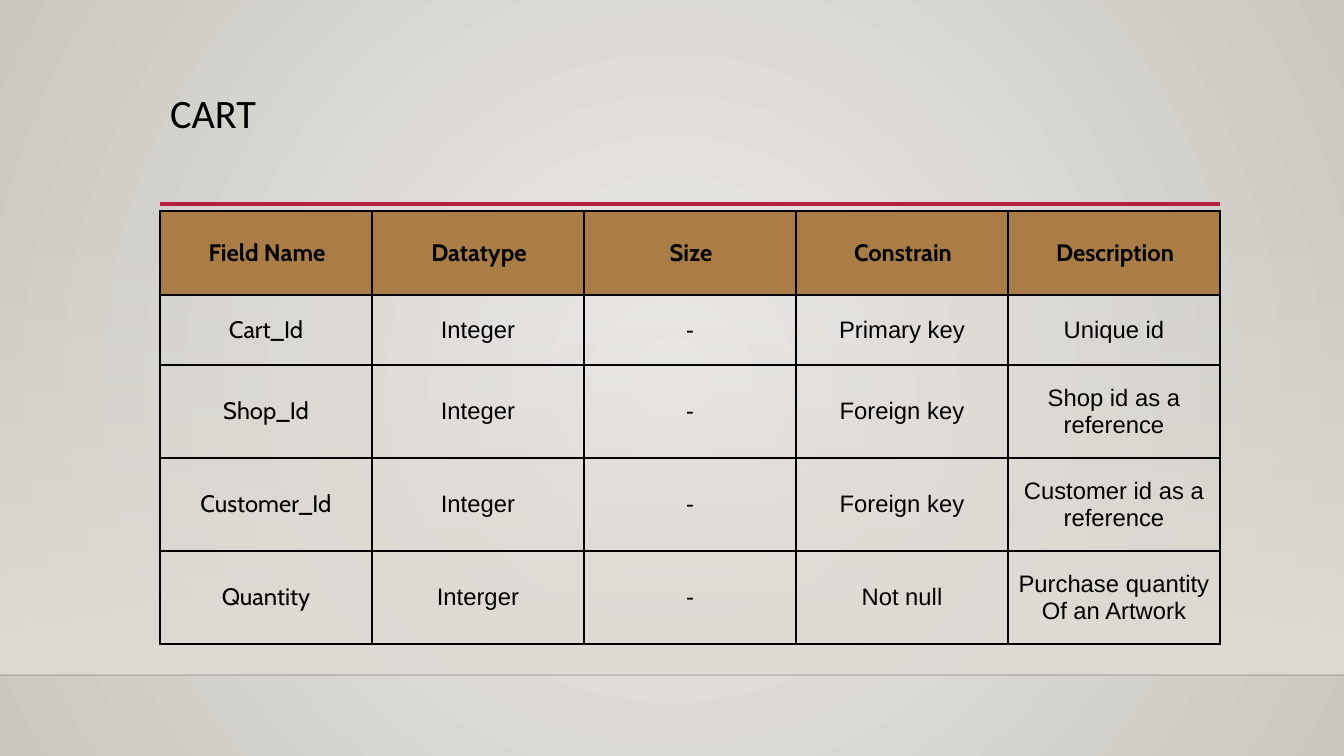
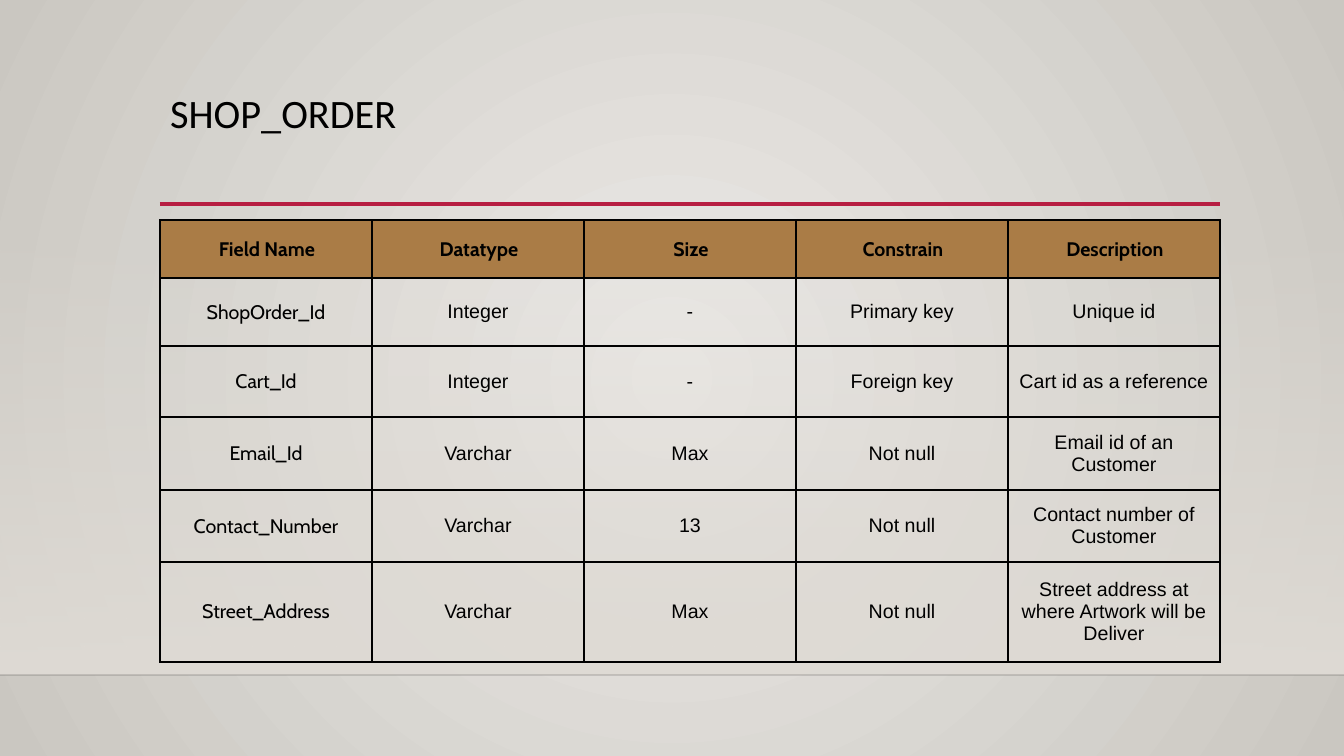
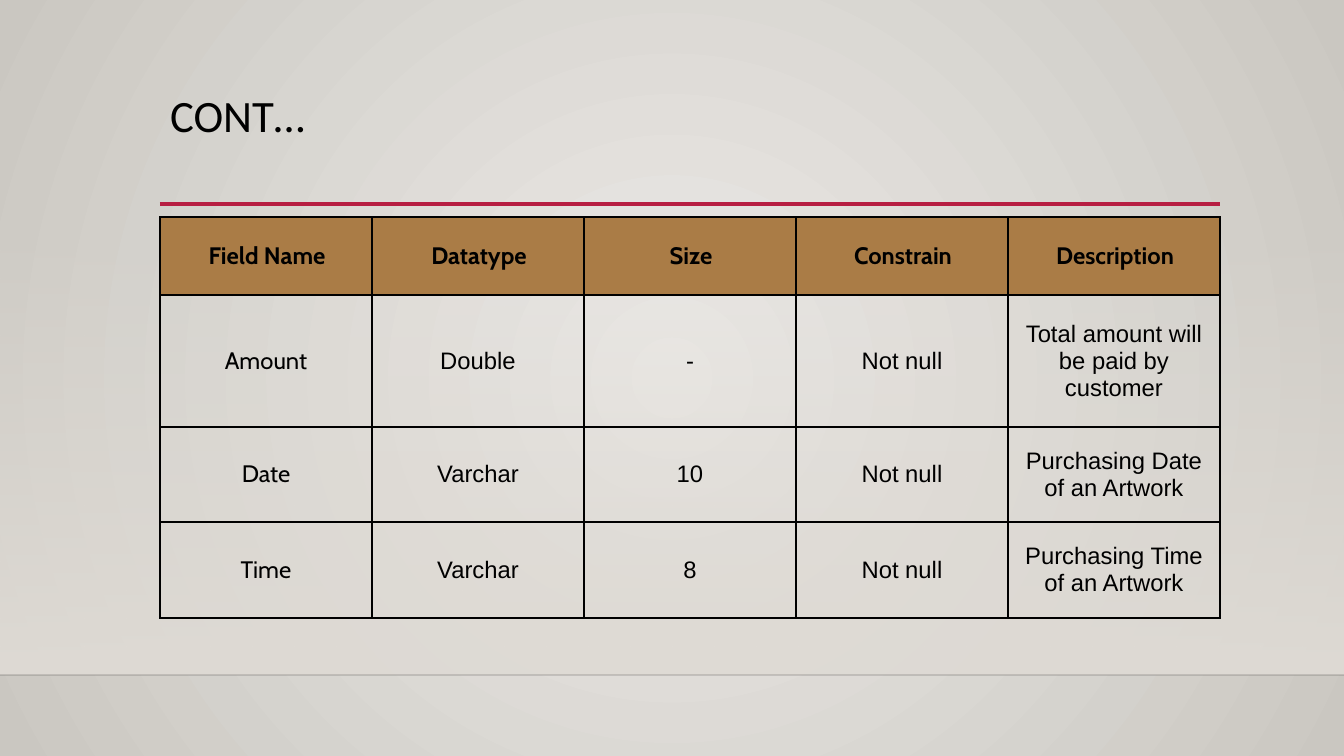
"""Build three slides that list the fields of the shop's database tables."""
from dataclasses import dataclass

from lxml import etree
from pptx import Presentation
from pptx import util as u
from pptx.dml.color import RGBColor
from pptx.enum import shapes, text
from pptx.oxml import parse_xml
from pptx.oxml.ns import nsdecls, qn

PX = 914400 / 100.8
SLIDE_WIDTH, SLIDE_HEIGHT = 1344, 756
LEFT, COLUMN_WIDTH = 160, 212
TITLE_TOP, TITLE_HEIGHT = 89, 115
RULE_Y, BAND_TOP, FLOOR_Y = 204, 223, 675

BLACK = RGBColor(0x00, 0x00, 0x00)
CRIMSON = RGBColor(0xB7, 0x1E, 0x42)
BRONZE = RGBColor(0xAA, 0x7C, 0x46)
PALE = RGBColor(0xEC, 0xEA, 0xE7)
STONE = RGBColor(0xCA, 0xC7, 0xC1)
SAND = RGBColor(0xDF, 0xDB, 0xD5)

TITLE_FONT, NAME_FONT, BODY_FONT = "Calibri", "Cabin", "Arial"
HEADERS = ("Field Name", "Datatype", "Size", "Constrain", "Description")
RADIAL = '<a:path path="circle"><a:fillToRect l="50000" t="50000" r="50000" b="50000"/></a:path>'
DOWNWARD = '<a:lin ang="5400000" scaled="0"/>'


@dataclass(frozen=True)
class FieldTable:
    """One slide: its title, and a table with its row heights."""

    title: str
    title_size: float
    top: int
    text_size: int
    inset: int
    heights: tuple[int, ...]
    fields: tuple[tuple[str, ...], ...]


TABLES = (
    FieldTable("CART", 28.8, 211, 17, 10, (84, 70, 93, 93, 93), (
        ("Cart_Id", "Integer", "-", "Primary key", "Unique id"),
        ("Shop_Id", "Integer", "-", "Foreign key", "Shop id as a reference"),
        ("Customer_Id", "Integer", "-", "Foreign key", "Customer id as a reference"),
        ("Quantity", "Interger", "-", "Not null", "Purchase quantity\nOf an Artwork"),
    )),
    FieldTable("SHOP_ORDER", 28.8, 220, 14, 8, (58, 68, 71, 73, 72, 100), (
        ("ShopOrder_Id", "Integer", "-", "Primary key", "Unique id"),
        ("Cart_Id", "Integer", "-", "Foreign key", "Cart id as a reference"),
        ("Email_Id", "Varchar", "Max", "Not null", "Email id of an Customer"),
        ("Contact_Number", "Varchar", "13", "Not null", "Contact number of Customer"),
        ("Street_Address", "Varchar", "Max", "Not null",
         "Street address at where Artwork will be Deliver"),
    )),
    FieldTable("CONT…", 32, 217, 17, 10, (78, 132, 95, 96), (
        ("Amount", "Double", "-", "Not null", "Total amount will be paid by customer"),
        ("Date", "Varchar", "10", "Not null", "Purchasing Date of an Artwork"),
        ("Time", "Varchar", "8", "Not null", "Purchasing Time of an Artwork"),
    )),
)


def px(length: int) -> u.Emu:
    """Turn pixels into EMU."""
    return u.Emu(round(length * PX))


def set_gradient(owner, fill, start: RGBColor, end: RGBColor, course: str,
                 start_alpha: int = 100) -> None:
    """Fill an object with a two-stop gradient that follows the given course."""
    fill.gradient()
    old = owner.element.xpath(".//a:gradFill")[0]
    old.getparent().replace(old, parse_xml(
        f'<a:gradFill {nsdecls("a")} rotWithShape="1"><a:gsLst>'
        f'<a:gs pos="0"><a:srgbClr val="{start}"><a:alpha val="{start_alpha * 1000}"/>'
        f'</a:srgbClr></a:gs><a:gs pos="100000"><a:srgbClr val="{end}"/></a:gs>'
        f'</a:gsLst>{course}</a:gradFill>'))


def add_rule(slide, left: int, right: int, y: int, color: RGBColor, width: float,
             alpha: int = 100):
    """Draw a horizontal line without a shadow."""
    rule = slide.shapes.add_connector(
        shapes.MSO_CONNECTOR.STRAIGHT, px(left), px(y), px(right), px(y))
    rule.line.color.rgb = color
    rule.line.width = u.Pt(width)
    tint = rule.element.xpath("./p:spPr/a:ln//a:srgbClr")[0]
    etree.SubElement(tint, qn("a:alpha")).set("val", str(alpha * 1000))
    etree.SubElement(rule.element.spPr, qn("a:effectLst"))
    return rule


def add_band(slide):
    """Draw the wash that fades in towards the floor line."""
    band = slide.shapes.add_shape(shapes.MSO_SHAPE.RECTANGLE, 0, px(BAND_TOP),
                                  px(SLIDE_WIDTH), px(FLOOR_Y - BAND_TOP))
    band.shadow.inherit = False
    band.line.fill.background()
    set_gradient(band, band.fill, SAND, SAND, DOWNWARD, start_alpha=0)
    return band


def furnish_layout(layout, slide) -> None:
    """Give the layout its background, band and rules, drawn by way of a slide."""
    master = layout.slide_master
    set_gradient(master, master.background.fill, PALE, STONE, RADIAL)
    right = LEFT + COLUMN_WIDTH * len(HEADERS)
    furniture = (
        add_band(slide),
        add_rule(slide, 0, SLIDE_WIDTH, FLOOR_Y, BLACK, 1, alpha=20),
        add_rule(slide, LEFT, right, RULE_Y, CRIMSON, 2.5),
    )
    for number, shape in enumerate(furniture, start=101):
        shape.element.xpath(".//p:cNvPr")[0].set("id", str(number))
        layout.shapes.element.append(shape.element)


def set_title(slide, wording: str, size: float) -> None:
    """Place and format the title."""
    title = slide.shapes.title
    title.left, title.top = px(LEFT), px(TITLE_TOP)
    title.width, title.height = px(COLUMN_WIDTH * len(HEADERS)), px(TITLE_HEIGHT)
    frame = title.text_frame
    frame.text = wording
    frame.word_wrap = True
    frame.auto_size = text.MSO_AUTO_SIZE.NONE
    frame.vertical_anchor = text.MSO_ANCHOR.TOP
    para = frame.paragraphs[0]
    para.alignment = text.PP_ALIGN.LEFT
    para.line_spacing = 0.9
    font = para.runs[0].font
    font.name, font.size = TITLE_FONT, u.Pt(size)
    font.color.rgb = BLACK


def add_borders(cell) -> None:
    """Draw a black border on each side of a cell."""
    properties = cell._tc.get_or_add_tcPr()
    for side in ("lnL", "lnR", "lnT", "lnB"):
        properties.append(parse_xml(
            f'<a:{side} {nsdecls("a")} w="{u.Pt(1.5)}"><a:solidFill>'
            f'<a:srgbClr val="{BLACK}"/></a:solidFill></a:{side}>'))


def fill_cell(cell, wording: str, size: int, inset: int, header: bool, name: bool) -> None:
    """Write and format one cell."""
    add_borders(cell)
    if header:
        cell.fill.solid()
        cell.fill.fore_color.rgb = BRONZE
    else:
        cell.fill.background()
    cell.margin_left = cell.margin_right = px(inset)
    cell.margin_top = cell.margin_bottom = px(inset)
    cell.vertical_anchor = text.MSO_ANCHOR.MIDDLE
    cell.text_frame.text = wording
    for para in cell.text_frame.paragraphs:
        para.alignment = text.PP_ALIGN.CENTER
        if header:
            para._p.get_or_add_pPr().set("marL", str(px(2)))
        font = para.runs[0].font
        font.name = NAME_FONT if header or name else BODY_FONT
        font.size, font.bold = u.Pt(size), header
        font.color.rgb = BLACK


def add_field_table(slide, content: FieldTable) -> None:
    """Add the table of fields under the title."""
    rows = (HEADERS, *content.fields)
    table = slide.shapes.add_table(
        len(rows), len(HEADERS), px(LEFT), px(content.top),
        px(COLUMN_WIDTH * len(HEADERS)), px(sum(content.heights))).table
    table.first_row = table.horz_banding = False
    for column in table.columns:
        column.width = px(COLUMN_WIDTH)
    for r, (height, row) in enumerate(zip(content.heights, rows)):
        table.rows[r].height = px(height)
        for c, wording in enumerate(row):
            fill_cell(table.cell(r, c), wording, content.text_size, content.inset,
                      header=r == 0, name=c == 0)


def main() -> None:
    """Build and save the deck."""
    deck = Presentation()
    deck.slide_width, deck.slide_height = px(SLIDE_WIDTH), px(SLIDE_HEIGHT)
    layout = deck.slide_layouts.get_by_name("Title Only")
    pages = [deck.slides.add_slide(layout) for _ in TABLES]
    furnish_layout(layout, pages[0])
    for page, content in zip(pages, TABLES):
        set_title(page, content.title, content.title_size)
        add_field_table(page, content)
    deck.save("out.pptx")


if __name__ == "__main__":
    main()
